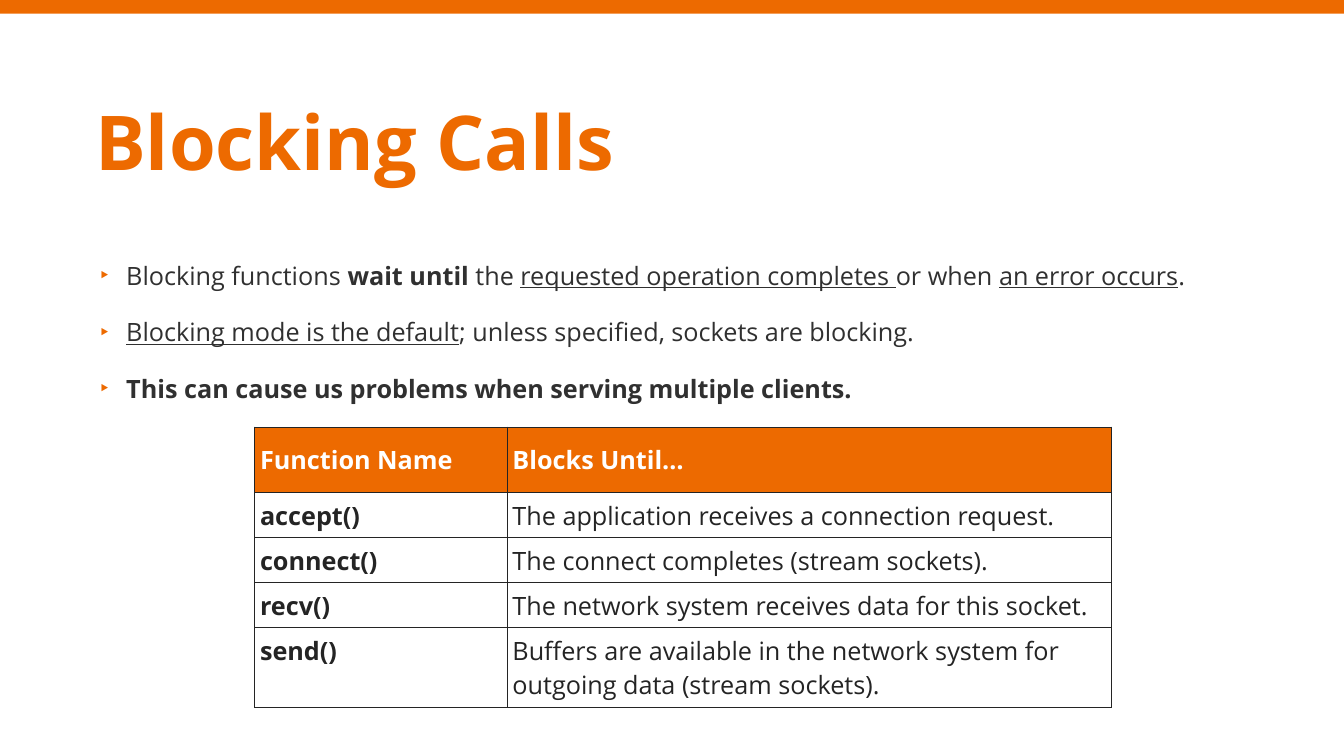
import pptx
import pptx.util
import pptx.dml.color
import pptx.enum.shapes
import pptx.enum.text
import lxml.etree
import pptx.oxml.ns

Inch = pptx.util.Inches
Pt = pptx.util.Pt
RGBColor = pptx.dml.color.RGBColor
ANCHOR = pptx.enum.text.MSO_ANCHOR
ALIGN = pptx.enum.text.PP_ALIGN

WIDE, HIGH = 17.78, 10
LEFT, SPAN = 1.26, 15.24  # text column shared by title and list
FONT = "Open Sans"
ORANGE = RGBColor(0xED, 0x6A, 0x00)
WHITE = RGBColor(0xFF, 0xFF, 0xFF)
GREY = RGBColor(0x30, 0x30, 0x30)
BLACK = RGBColor(0x24, 0x24, 0x24)

# Each run is its text and its style: b for bold, u for underlined
POINTS = [
    [("Blocking functions ", ""), ("wait until", "b"), (" the ", ""),
     ("requested operation completes ", "u"), ("or when ", ""),
     ("an error occurs", "u"), (".", "")],
    [("Blocking mode is the default", "u"),
     ("; unless specified, sockets are blocking.", "")],
    [("This can cause us problems when serving multiple clients.", "b")],
]
HEAD = ("Function Name", "Blocks Until…")
CALLS = [
    ("accept()", "The application receives a connection request."),
    ("connect()", "The connect completes (stream sockets)."),
    ("recv()", "The network system receives data for this socket."),
    ("send()", "Buffers are available in the network system for "
               "outgoing data (stream sockets)."),
]
COLS = (3.34, 8)
ROWS = (0.87, 0.58, 0.58, 0.58, 1.02)


def add_node(parent, tag, **attrs):
    node = lxml.etree.SubElement(parent, pptx.oxml.ns.qn(tag))
    for key, value in attrs.items():
        node.set(key, str(value))
    return node


def add_run(para, text, size, color, style=""):
    run = para.add_run()
    run.text = text
    font = run.font
    font.name, font.size = FONT, Pt(size)
    font.color.rgb = color
    font.bold = "b" in style
    font.underline = "u" in style


def place(shape, box, pad):
    """Move a placeholder to its box and set its text frame."""
    shape.left, shape.top, shape.width, shape.height = map(Inch, box)
    frame = shape.text_frame
    frame.word_wrap = True
    frame.auto_size = pptx.enum.text.MSO_AUTO_SIZE.NONE
    frame.vertical_anchor = ANCHOR.MIDDLE
    frame.margin_left = frame.margin_right = Inch(pad)
    frame.margin_top = frame.margin_bottom = Inch(pad)
    return frame


def add_bar(slide, box):
    kind = pptx.enum.shapes.MSO_SHAPE.RECTANGLE
    bar = slide.shapes.add_shape(kind, *map(Inch, box))
    bar.shadow.inherit = False
    bar.fill.solid()
    bar.fill.fore_color.rgb = ORANGE
    bar.line.fill.background()


def fill_title(slide, box):
    para = place(slide.shapes.title, box, 0).paragraphs[0]
    para.alignment = ALIGN.LEFT
    add_run(para, "Blocking Calls", 72, ORANGE, "b")


def fill_list(slide, box):
    frame = place(slide.placeholders[1], box, 0.06)
    for index, runs in enumerate(POINTS):
        para = frame.add_paragraph() if index else frame.paragraphs[0]
        para.space_before = Pt(25 if index else 0)
        # Orange bullet on a hanging indent
        props = para._p.get_or_add_pPr()
        props.set("marL", str(Inch(0.35)))
        props.set("indent", str(-Inch(0.35)))
        add_node(add_node(props, "a:buClr"), "a:srgbClr", val=ORANGE)
        add_node(props, "a:buFont", typeface=FONT)
        add_node(props, "a:buChar", char="‣")
        for text, style in runs:
            add_run(para, text, 24, GREY, style)


def add_edges(cell):
    """Draw a thin line on all four sides; lines come before the fill."""
    props = cell._tc.get_or_add_tcPr()
    for index, side in enumerate("LRTB"):
        line = add_node(props, "a:ln" + side, w=Pt(1))
        add_node(add_node(line, "a:solidFill"), "a:srgbClr", val=BLACK)
        props.insert(index, line)


def fill_cell(cell, text, head, bold):
    cell.margin_left = cell.margin_right = Inch(0.07)
    cell.margin_top = cell.margin_bottom = Inch(0.07)
    cell.vertical_anchor = ANCHOR.MIDDLE if head else ANCHOR.TOP
    if head:
        cell.fill.solid()
        cell.fill.fore_color.rgb = ORANGE
    else:
        cell.fill.background()
    add_edges(cell)
    para = cell.text_frame.paragraphs[0]
    add_run(para, text, 24, WHITE if head else BLACK, "b" if bold else "")


def add_calls(slide, left, top):
    box = map(Inch, (left, top, sum(COLS), sum(ROWS)))
    table = slide.shapes.add_table(len(ROWS), len(COLS), *box).table
    table.first_row = table.horz_banding = False
    for col, width in zip(table.columns, COLS):
        col.width = Inch(width)
    for row, height in zip(table.rows, ROWS):
        row.height = Inch(height)
    for r, texts in enumerate([HEAD] + CALLS):
        for c, text in enumerate(texts):
            fill_cell(table.cell(r, c), text, r == 0, r == 0 or c == 0)


def main():
    deck = pptx.Presentation()
    deck.slide_width, deck.slide_height = Inch(WIDE), Inch(HIGH)
    slide = deck.slides.add_slide(deck.slide_layouts[1])
    add_bar(slide, (0, 0, WIDE, 0.18))
    fill_title(slide, (LEFT, 0.92, SPAN, 1.86))
    fill_list(slide, (LEFT, 3.12, SPAN, 2.53))
    add_calls(slide, 3.37, 5.65)
    deck.save("out.pptx")


if __name__ == "__main__":
    main()
